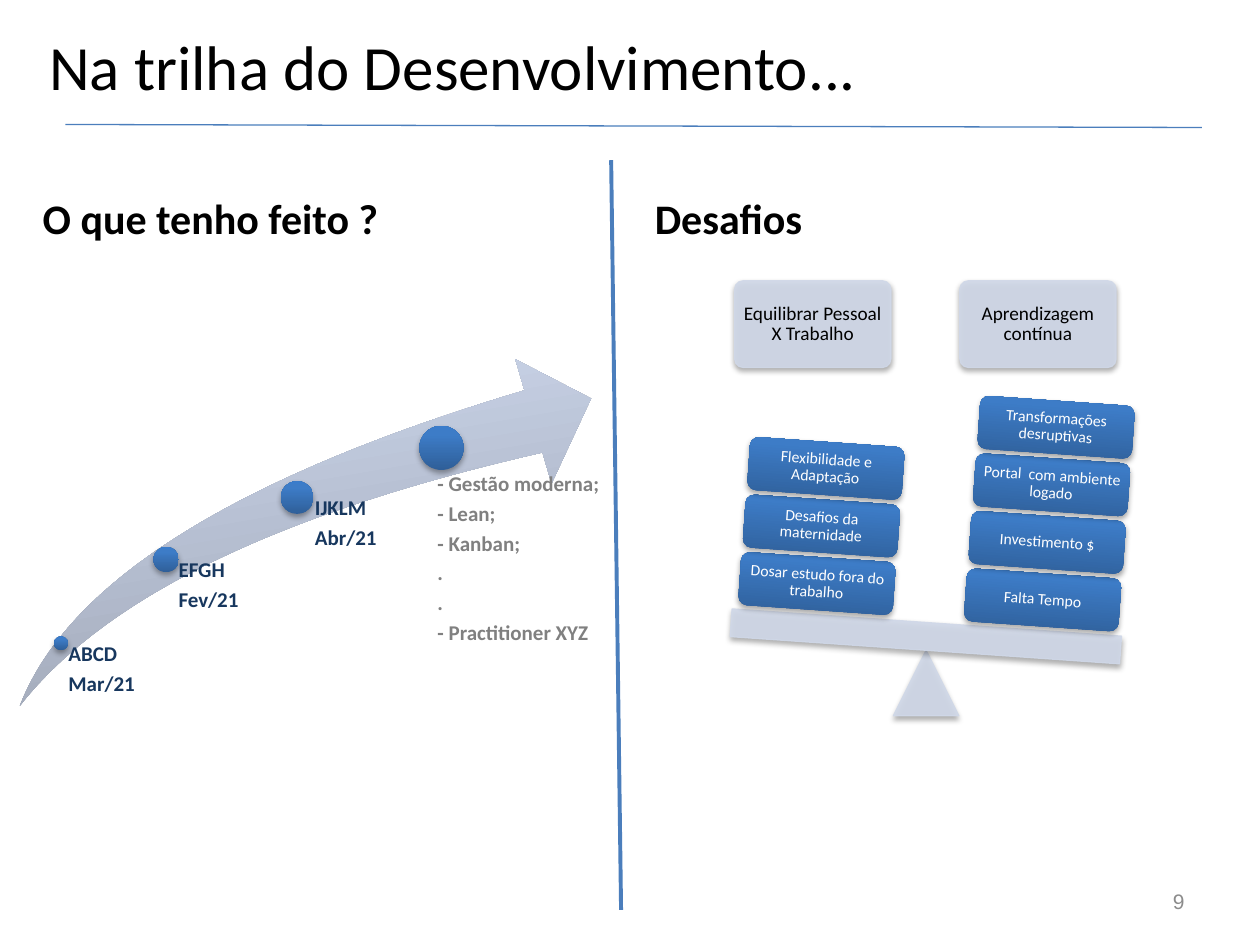
from copy import deepcopy
from dataclasses import dataclass

from lxml import etree
from pptx import Presentation
from pptx import util as u
from pptx.dml.color import RGBColor
from pptx.enum import shapes, text
from pptx.oxml.ns import qn


@dataclass(frozen=True)
class Theme:
    font: str = "Calibri"
    number_font: str = "Arial"
    black: str = "000000"
    white: str = "FFFFFF"
    navy: str = "17375E"
    grey: str = "808080"
    number: str = "8C8C8C"
    rule: str = "4B7EBC"
    pale: str = "D0D8E8"
    blue: tuple = ("2F5F99", "3D7CC7", "3A7CCB")
    swoosh: tuple = ("99A0AF", "C6D0E4", "C7D1E5")
    title_size: int = 36
    heading_size: int = 24
    label_size: int = 12
    card_size: int = 11
    block_size: int = 9


def write(tf, lines, size, color, bold=False, align=text.PP_ALIGN.LEFT,
          anchor=text.MSO_ANCHOR.MIDDLE, insets=(0.25, 0.13, 0.25, 0.13),
          spacing=1.0, after=0, font=Theme.font):
    tf.word_wrap = True
    tf.auto_size = text.MSO_AUTO_SIZE.NONE
    tf.vertical_anchor = anchor
    tf.margin_left, tf.margin_top, tf.margin_right, tf.margin_bottom = map(u.Cm, insets)
    for i, line in enumerate(lines):
        p = tf.paragraphs[0] if i == 0 else tf.add_paragraph()
        p.text = line
        p.alignment = align
        p.line_spacing = spacing
        p.space_before, p.space_after = u.Pt(0), u.Pt(after)
        p.font.name, p.font.size, p.font.bold = font, u.Pt(size), bold
        p.font.color.rgb = RGBColor.from_string(color)


def paint(sp, colors, shadow=True):
    sp.shadow.inherit = False
    spPr = sp._element.spPr
    if isinstance(colors, str):
        sp.fill.solid()
        sp.fill.fore_color.rgb = RGBColor.from_string(colors)
        sp.line.color.rgb = RGBColor.from_string(colors)
        sp.line.width = u.Pt(0.75)
        for clr in spPr.iter(qn("a:srgbClr")):
            etree.SubElement(clr, qn("a:alpha"), val="90000")
    else:
        sp.line.fill.background()
        sp.fill.gradient()
        sp.fill.gradient_angle = 90
        gs_list = next(spPr.iter(qn("a:gsLst")))
        gs_list.insert(1, deepcopy(gs_list[1]))
        for stop, color, position in zip(sp.fill.gradient_stops, colors, (0, 0.8, 1)):
            stop.color.rgb = RGBColor.from_string(color)
            stop.position = position
    if shadow:
        outer = etree.SubElement(spPr.find(qn("a:effectLst")), qn("a:outerShdw"),
                                 blurRad="40000", dist="23000", dir="5400000", rotWithShape="0")
        clr = etree.SubElement(outer, qn("a:srgbClr"), val=Theme.black)
        etree.SubElement(clr, qn("a:alpha"), val="35000")


theme = Theme()
shape = shapes.MSO_SHAPE
prs = Presentation()
prs.slide_width, prs.slide_height = u.Cm(25.4), u.Cm(19.05)
s = prs.slides.add_slide(prs.slide_layouts[5])

title = s.shapes.title
title.left, title.top, title.width, title.height = map(u.Cm, (0.74, 0.41, 21.21, 1.83))
write(title.text_frame, ["Na trilha do Desenvolvimento..."], theme.title_size, theme.black)

for heading, left in (("O que tenho feito ?", 0.61), ("Desafios", 12.95)):
    tb = s.shapes.add_textbox(u.Cm(left), u.Cm(3.2), u.Cm(11), u.Cm(1.83))
    write(tb.text_frame, [heading], theme.heading_size, theme.black, bold=True,
          anchor=text.MSO_ANCHOR.BOTTOM)

tb = s.shapes.add_textbox(u.Cm(18.21), u.Cm(17.65), u.Cm(5.92), u.Cm(1.02))
write(tb.text_frame, ["9"], theme.label_size, theme.number,
      align=text.PP_ALIGN.RIGHT, font=theme.number_font)

for ends, width in (((1.32, 2.51, 24.23, 2.57), 0.75), ((12.52, 18.34, 12.32, 3.23), 2.25)):
    line = s.shapes.add_connector(shapes.MSO_CONNECTOR.STRAIGHT, *map(u.Cm, ends))
    line.line.color.rgb = RGBColor.from_string(theme.rule)
    line.line.width = u.Pt(width)
    etree.SubElement(line._element.spPr, qn("a:effectLst"))

swoosh = s.shapes.add_shape(shape.SWOOSH_ARROW, *map(u.Cm, (-0.13, 8.03, 12.4, 5.18)))
swoosh.rotation = 350.2
swoosh.adjustments[0] = swoosh.adjustments[1] = 0.25
paint(swoosh, theme.swoosh, shadow=False)

milestones = [
    (1.23, 12.97, 0.28, (1.23, 12.97, 2.11, 1.85), 0.15, theme.navy, ["ABCD", "Mar/21"]),
    (3.35, 11.28, 0.51, (3.35, 11.28, 2.59, 3.53), 0.25, theme.navy, ["EFGH", "Fev/21"]),
    (5.99, 10.03, 0.66, (5.99, 10.03, 2.59, 4.78), 0.36, theme.navy, ["IJKLM", "Abr/21"]),
    (8.9, 9.03, 0.89, (8.36, 9.55, 3.89, 5.54), 0.46, theme.grey,
     ["- Gestão moderna;", "- Lean;", "- Kanban;", ".", ".", "- Practitioner XYZ"]),
]
for x, y, size, box, inset, color, lines in milestones:
    dot = s.shapes.add_shape(shape.OVAL, u.Cm(x - size / 2), u.Cm(y - size / 2),
                             u.Cm(size), u.Cm(size))
    paint(dot, theme.blue)
    tb = s.shapes.add_textbox(*map(u.Cm, box))
    write(tb.text_frame, lines, theme.label_size, color, bold=True, spacing=0.9, after=4,
          anchor=text.MSO_ANCHOR.TOP, insets=(inset, 0, 0, 0))

for caption, left in (("Equilibrar Pessoal X Trabalho", 14.81), ("Aprendizagem contínua", 19.35)):
    card = s.shapes.add_shape(shape.ROUNDED_RECTANGLE, *map(u.Cm, (left, 5.66, 3.15, 1.75)))
    card.adjustments[0] = 0.1
    paint(card, theme.pale)
    write(card.text_frame, [caption], theme.card_size, theme.black,
          align=text.PP_ALIGN.CENTER, insets=(0.13,) * 4, spacing=0.9)

pivot = s.shapes.add_shape(shape.ISOSCELES_TRIANGLE, *map(u.Cm, (18.01, 13.11, 1.32, 1.32)))
paint(pivot, theme.pale)
plank = s.shapes.add_shape(shape.RECTANGLE, *map(u.Cm, (14.73, 12.55, 7.87, 0.56)))
plank.rotation = 4
paint(plank, theme.pale)

stacks = [
    (19.46, 11.56, ["Falta Tempo", "Investimento $", "Portal  com ambiente logado",
                    "Transformações desruptivas"]),
    (14.91, 11.23, ["Dosar estudo fora do trabalho", "Desafios da maternidade",
                    "Flexibilidade e Adaptação"]),
]
for left, bottom, captions in stacks:
    for i, caption in enumerate(captions):
        block = s.shapes.add_shape(shape.ROUNDED_RECTANGLE, u.Cm(left + 0.09 * i),
                                   u.Cm(bottom - 1.16 * i), u.Cm(3.12), u.Cm(1.07))
        block.rotation = 4
        paint(block, theme.blue)
        write(block.text_frame, [caption], theme.block_size, theme.white,
              align=text.PP_ALIGN.CENTER, insets=(0.1,) * 4, spacing=0.9)

prs.save("out.pptx")
